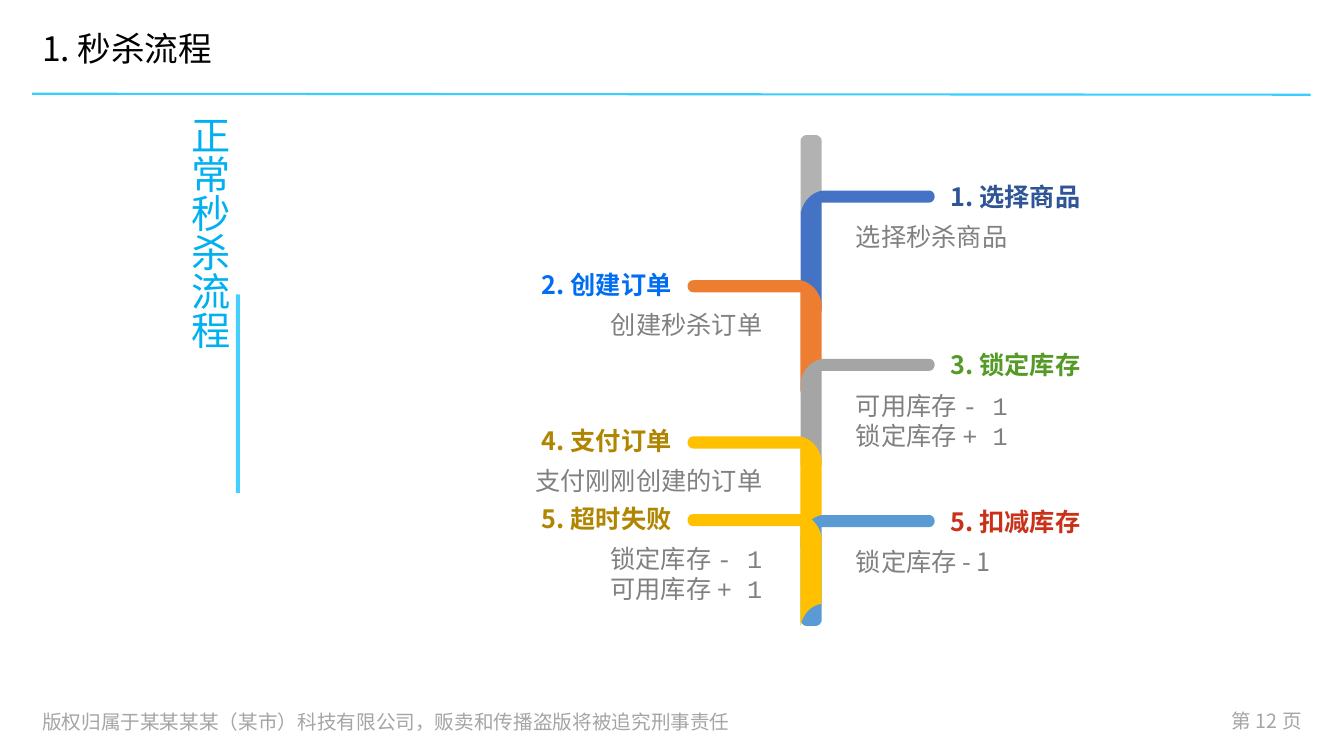
from lxml import etree
from pptx import Presentation
from pptx import util as u
from pptx.dml.color import RGBColor
from pptx.enum import shapes, text
from pptx.oxml.ns import qn

SANS, MONO = "Noto Sans CJK SC", "Courier New"
COLORS = {
    "rule": "3ACDFF", "bar": "47CFFF", "title": "00B0F0", "heading": "000000",
    "footer": "A5A5A5", "detail": "808080", "stub": "B2B2B2",
    "blue": "4472C4", "orange": "ED7D31", "gray": "A5A5A5",
    "yellow": "FFC000", "sky": "5B9BD5", "navy_text": "2F5597",
    "blue_text": "006DF2", "green_text": "559A27",
    "gold_text": "B08500", "red_text": "C83219",
}
TRUNK_LEFT, TRUNK_WIDTH = 7.94, 0.21
ARM_LENGTH, ARM_HEIGHT = 1.33, 0.12
LEFT, RIGHT = -1, 1
# side, top, depth, rounded foot, arm colour, label, label colour, details, font
STEPS = [
    (RIGHT, 1.89, 1.21, False, "blue", "1. 选择商品", "navy_text", ["选择秒杀商品"], SANS),
    (LEFT, 2.78, 1.11, False, "orange", "2. 创建订单", "blue_text", ["创建秒杀订单"], MONO),
    (RIGHT, 3.56, 1.1, True, "gray", "3. 锁定库存", "green_text",
     ["可用库存 - 1", "锁定库存 + 1"], MONO),
    (LEFT, 4.33, 1.11, False, "yellow", "4. 支付订单", "gold_text", ["支付刚刚创建的订单"], SANS),
    (RIGHT, 5.11, 1.1, True, "sky", "5. 扣减库存", "red_text", ["锁定库存 - 1"], SANS),
    (LEFT, 5.1, 1.11, False, "yellow", "5. 超时失败", "gold_text",
     ["锁定库存 - 1", "可用库存 + 1"], MONO),
]


def rgb(name):
    return RGBColor.from_string(COLORS[name])


def paint(shape, color):
    shape.shadow.inherit = False
    shape.fill.solid()
    shape.fill.fore_color.rgb = rgb(color)
    shape.line.fill.background()


def add_text(slide, box, lines, size, color, font=SANS, bold=False, insets=(0.1, 0.05),
             anchor=text.MSO_ANCHOR.TOP, **paragraph_format):
    shape = slide.shapes.add_textbox(*map(u.Inches, box))
    frame = shape.text_frame
    across, down = map(u.Inches, insets)
    frame_format = {"word_wrap": True, "vertical_anchor": anchor, "margin_left": across,
                    "margin_right": across, "margin_top": down, "margin_bottom": down}
    for name, value in frame_format.items():
        setattr(frame, name, value)
    for index, line in enumerate(lines):
        paragraph = frame.add_paragraph() if index else frame.paragraphs[0]
        for name, value in paragraph_format.items():
            setattr(paragraph, name, value)
        run = paragraph.add_run()
        run.text = line
        for name, value in {"size": u.Pt(size), "name": font, "bold": bold}.items():
            setattr(run.font, name, value)
        run.font.color.rgb = rgb(color)
        east_asian = etree.SubElement(run.font._element, qn("a:ea"))
        east_asian.set("typeface", SANS)
    return shape


def curve(start, first, second, end, count=10):
    """Return points along a cubic Bézier curve."""
    def point(t):
        weights = ((1 - t) ** 3, 3 * t * (1 - t) ** 2, 3 * t * t * (1 - t), t ** 3)
        controls = (start, first, second, end)
        return tuple(sum(w * c[axis] for w, c in zip(weights, controls)) for axis in (0, 1))
    return [point(index / count) for index in range(count + 1)]


def bend(top):
    """Return the outer elbow, from the trunk's inner edge to its outer edge."""
    return curve((TRUNK_WIDTH, top), (0.07, top + 0.03), (0.01, top + 0.16), (0, top + 0.23))


def rounded_end(edge, inward):
    """Return a rounded trunk end, from the outer edge to the inner edge."""
    radius = 0.06
    shoulder, handle = edge + inward * radius, edge + inward * 0.03
    outer = curve((0, shoulder), (0, handle), (0.03, edge), (radius, edge))
    return outer + [(TRUNK_WIDTH - x, y) for x, y in reversed(outer)]


def add_outline(slide, side, top, points, color):
    """Draw points measured from the trunk's outer edge, mirrored for the left side."""
    origin = TRUNK_LEFT if side == RIGHT else TRUNK_LEFT + TRUNK_WIDTH
    placed = [((origin + side * x) * 1000, (top + y) * 1000) for x, y in points]
    builder = slide.shapes.build_freeform(*placed[0], scale=u.Inches(1) / 1000)
    builder.add_line_segments(placed[1:], close=True)
    paint(builder.convert_to_shape(), color)


def add_arm(slide, side, top, depth, rounded, color):
    if rounded:
        foot = rounded_end(depth, -1)
    else:
        foot = curve((0, depth - 0.22), (0.14, depth - 0.2),
                     (0.2, depth - 0.07), (TRUNK_WIDTH, depth))
    neck = ARM_LENGTH - 0.06
    tip = curve((neck, ARM_HEIGHT), (ARM_LENGTH + 0.02, ARM_HEIGHT),
                (ARM_LENGTH + 0.02, 0), (neck, 0))
    add_outline(slide, side, top, bend(0) + foot + [(TRUNK_WIDTH, ARM_HEIGHT)] + tip, color)


def add_step(slide, side, top, depth, rounded, color, label, label_color, details, font):
    add_arm(slide, side, top, depth, rounded, color)
    label_left, detail_left = (9.43, 8.49) if side == RIGHT else (3.24, 3.2)
    label_top = top - (0.19 if side == RIGHT else 0.21)
    align = text.PP_ALIGN.LEFT if side == RIGHT else text.PP_ALIGN.RIGHT
    add_text(slide, (label_left, label_top, 3.42, 0.5), [label], 18, label_color, bold=True,
             insets=(0, 0), anchor=text.MSO_ANCHOR.MIDDLE, alignment=align)
    add_text(slide, (detail_left, label_top + 0.5, 4.36, 0.78), details, 18, "detail", font,
             insets=(0, 0), alignment=align)


def add_flow(slide):
    stub = rounded_end(0, 1) + bend(0.55)
    add_outline(slide, RIGHT, 1.34, stub, "stub")
    for step in STEPS:
        add_step(slide, *step)


def add_header(slide):
    rule = slide.shapes.add_connector(
        shapes.MSO_CONNECTOR.STRAIGHT, *map(u.Inches, (13, 0.94, 0.32, 0.93)))
    rule.line.color.rgb = rgb("rule")
    rule.line.width = u.Pt(1.5)
    etree.SubElement(rule._element.spPr, qn("a:effectLst"))
    add_text(slide, (0.32, 0.15, 12.68, 0.71), ["1. 秒杀流程"], 24, "heading",
             anchor=text.MSO_ANCHOR.MIDDLE, line_spacing=0.9, space_before=u.Pt(10))


def add_side_title(slide):
    bar = slide.shapes.add_shape(
        shapes.MSO_SHAPE.RECTANGLE, *map(u.Inches, (2.34, 2.92, 0.04, 1.97)))
    paint(bar, "bar")
    title = add_text(slide, (0.32, 1.05, 3.47, 5.7), ["正常秒杀流程"], 28, "title",
                     anchor=text.MSO_ANCHOR.MIDDLE, line_spacing=0.9)
    title.text_frame._txBody.bodyPr.set("vert", "eaVert")


def add_footer(slide):
    add_text(slide, (0.32, 6.98, 7.76, 0.35),
             ["版权归属于某某某某（某市）科技有限公司，贩卖和传播盗版将被追究刑事责任"],
             14, "footer", insets=(0.1, 0.1), anchor=text.MSO_ANCHOR.MIDDLE)
    add_text(slide, (11.81, 6.98, 1.2, 0.35), ["第 12 页"], 14, "footer",
             alignment=text.PP_ALIGN.RIGHT)


def main():
    presentation = Presentation()
    presentation.slide_width, presentation.slide_height = u.Inches(13.33), u.Inches(7.5)
    slide = presentation.slides.add_slide(presentation.slide_layouts[6])
    for add_region in (add_header, add_footer, add_side_title, add_flow):
        add_region(slide)
    presentation.save("out.pptx")


if __name__ == "__main__":
    main()
